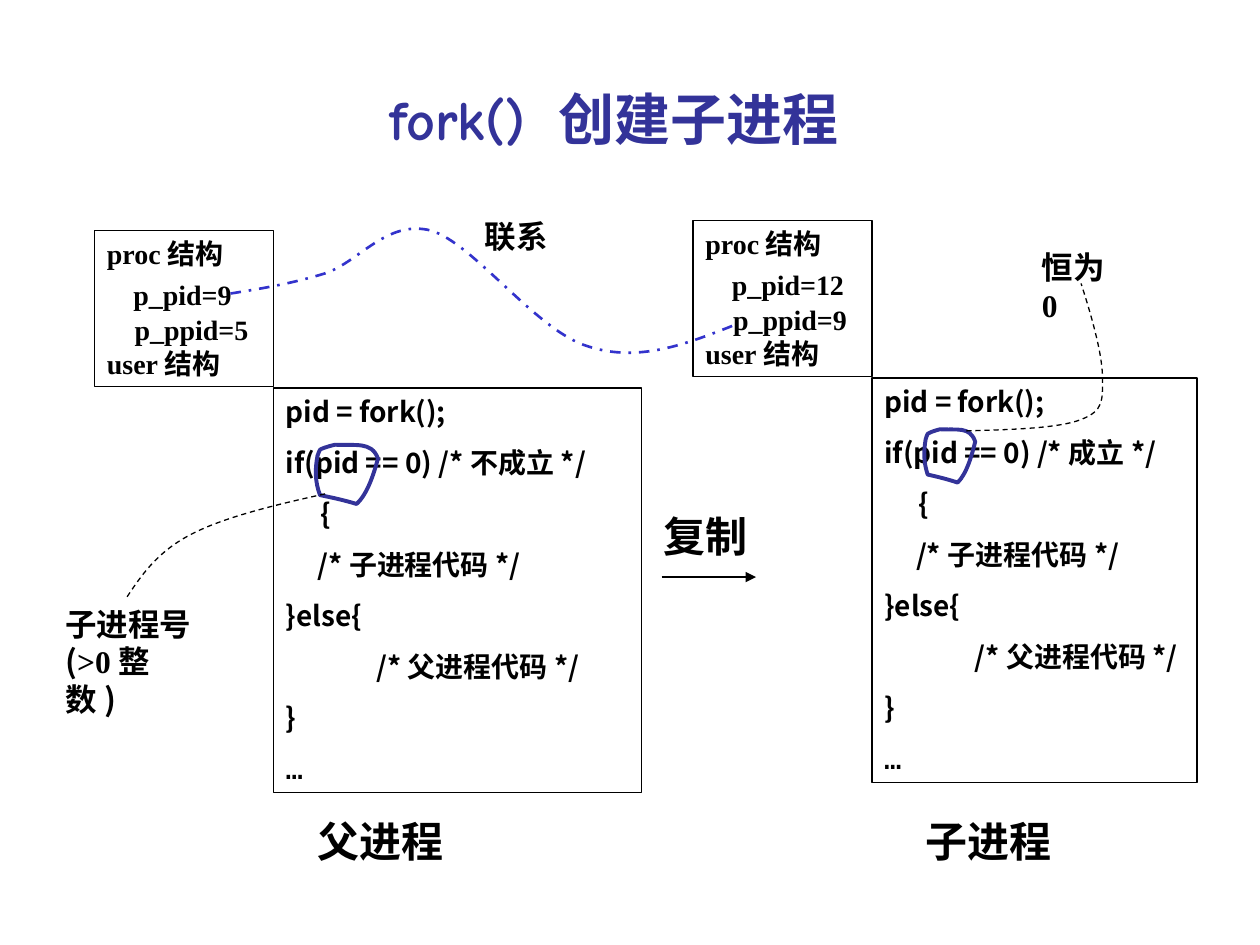
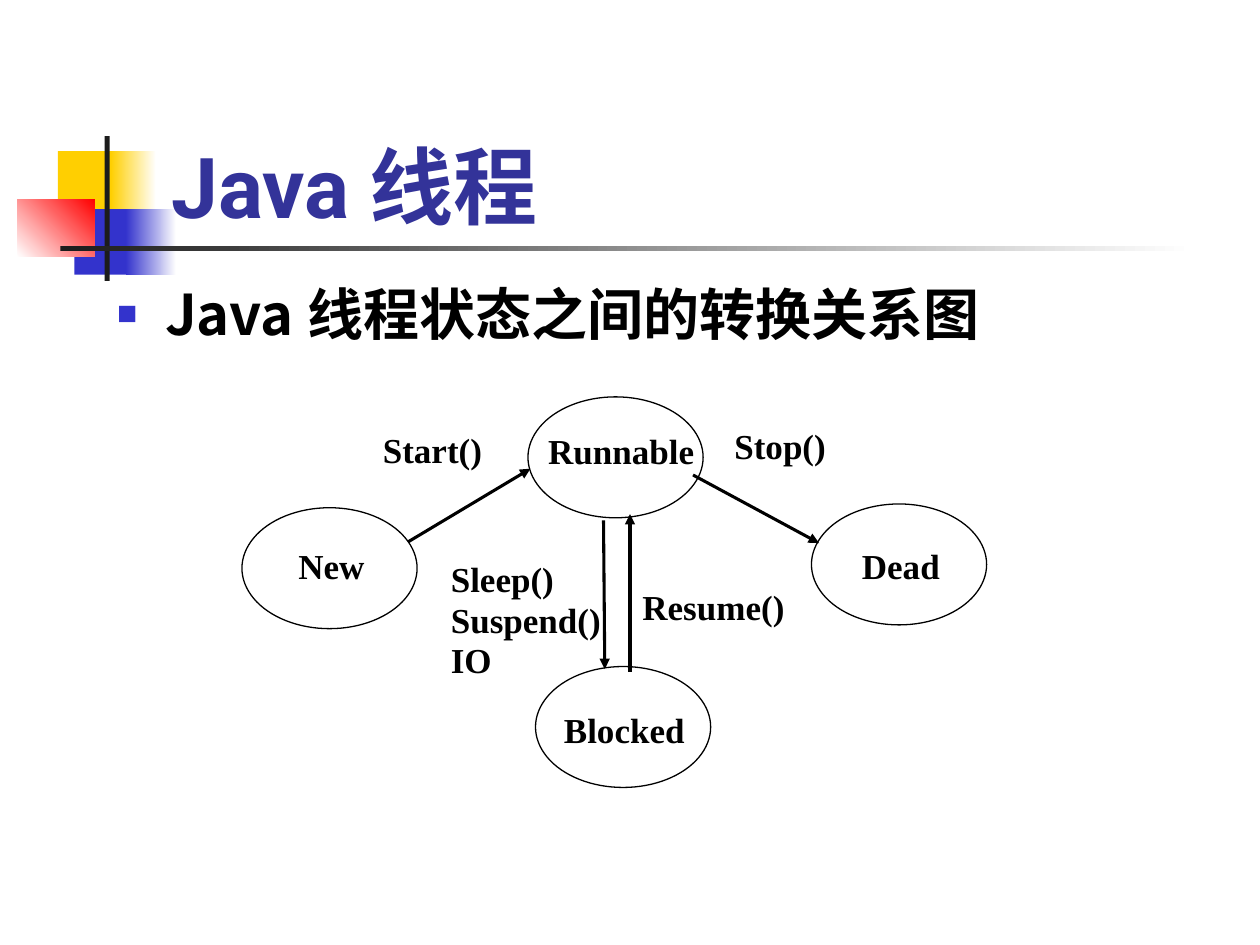
from lxml.etree import SubElement
from pptx import Presentation
from pptx.dml.color import RGBColor
from pptx.enum.dml import MSO_LINE
from pptx.enum.shapes import MSO_CONNECTOR, MSO_SHAPE
from pptx.enum.text import MSO_ANCHOR, MSO_AUTO_SIZE, PP_ALIGN
from pptx.oxml.ns import qn
from pptx.util import Inches, Pt

# Shared look
BLACK = RGBColor(0x00, 0x00, 0x00)
WHITE = RGBColor(0xFF, 0xFF, 0xFF)
INK = RGBColor(0x1C, 0x1C, 0x1C)
INDIGO = RGBColor(0x33, 0x33, 0x99)
BLUE = RGBColor(0x33, 0x33, 0xCC)
YELLOW = RGBColor(0xFF, 0xCF, 0x01)
RED = RGBColor(0xFF, 0x00, 0x00)
SERIF, CJK, MONO = "Times New Roman", "Noto Sans CJK SC", "Courier New"
COMIC, SANS = "Comic Neue", "Roboto"
INSETS = (0.1, 0.05, 0.1, 0.05)
TIGHT = (0.02, 0.01, 0.02, 0.01)
LEADING = 1.2

# Slide 1 content: the two processes, their labels and the links
FORK_TITLE = [("fork() ", COMIC), ("创建子进程", SERIF)]
PROCESSES = [
    dict(left=0.75, top=1.83, pid=9, ppid=5, test="不成立", code_w=2.92,
         name="父进程", name_x=2.42, ring=(2.5, 3.5, 0.5, 0.5)),
    dict(left=5.5, top=1.75, pid=12, ppid=9, test="成立", code_w=2.58,
         name="子进程", name_x=7.25, ring=(7.33, 3.38, 0.41, 0.45)),
]
PROC_W, PROC_H, CODE_DROP, CODE_H = 1.42, 1.24, 1.25, 3.21
PROC_INDENTS = (0, 0.21, 0.22, 0)
CODE = ["pid = fork();", "if(pid == 0) /*{test}*/", "　{{", "     /*子进程代码*/",
        "}}else{{", "　　　/*父进程代码*/", "}}"]
FORK_NOTES = [
    ([("联系", SERIF)], (3.75, 1.67, 1.08, 0.4)),
    ([("子进程号", SERIF), ("(", CJK), (">0整数", SERIF), (")", CJK)],
     (0.42, 4.75, 1.25, 1)),
    ([("恒为0", SERIF)], (8.17, 1.92, 0.83, 0.7)),
]
COPY_LABEL, COPY_BOX = "复制", (5.17, 4, 0.92, 0.5)
COPY_ARROW = ((5.25, 4.58), (6, 4.58))

# Curves: a start, then two control points and an end for each segment
PID_RING = [(0.66, 1), (0.46, 0.94), (0.28, 0.9), (0.08, 0.86),
            (0, 0.64), (0, 0.46), (0.04, 0.24),
            (0.06, 0.2), (0.06, 0.16), (0.08, 0.14),
            (0.14, 0.1), (0.32, 0.06), (0.32, 0.06),
            (0.64, 0.08), (0.9, 0), (1, 0.28),
            (0.94, 0.5), (0.84, 0.84), (0.66, 1)]
PID_LINK = [(1.83, 2.33), (2.08, 2.29), (2.32, 2.25), (2.58, 2.17),
            (2.85, 2.08), (3.07, 1.74), (3.42, 1.83),
            (3.76, 1.93), (4.26, 2.63), (4.67, 2.75),
            (5.07, 2.88), (5.45, 2.73), (5.83, 2.58)]
NOTE_LINKS = [
    [(2.58, 3.92), (2.17, 4.01), (1.76, 4.11), (1.5, 4.25),
     (1.24, 4.39), (1.12, 4.57), (1, 4.75)],
    [(7.67, 3.42), (8.03, 3.41), (8.4, 3.4), (8.58, 3.33),
     (8.76, 3.26), (8.75, 3.18), (8.75, 3),
     (8.75, 2.82), (8.67, 2.53), (8.58, 2.25)],
]

# Slide 2 content: heading, emblem, states and transitions
THREAD_TITLE = "Java线程"
THREAD_POINT = "Java线程状态之间的转换关系图"
EMBLEM = [  # box, colours, angle
    ((0.46, 1.2, 0.48, 0.52), (YELLOW,), 0),
    ((0.88, 1.2, 0.36, 0.52), (YELLOW, WHITE), 0),
    ((0.59, 1.66, 0.46, 0.52), (BLUE,), 0),
    ((1, 1.66, 0.4, 0.52), (BLUE, WHITE), 0),
    ((0.14, 1.58, 0.61, 0.46), (WHITE, RED), 45),
    ((0.83, 1.08, 0.04, 1.15), (INK,), 0),
    ((0.48, 1.95, 9, 0.04), (INK, WHITE), 0),
]
OVAL_W, OVAL_H = 1.39, 0.96
STATES = [  # name, oval corner, label box, label alignment
    ("Runnable", (4.19, 3.15), (4.33, 3.4, 1.25, 0.43), PP_ALIGN.JUSTIFY),
    ("Blocked", (4.25, 5.29), (4.42, 5.61, 1.07, 0.48), PP_ALIGN.CENTER),
    ("Dead", (6.44, 4), (6.71, 4.31, 0.88, 0.61), PP_ALIGN.CENTER),
    ("New", (1.92, 4.03), (2.19, 4.31, 0.88, 0.61), PP_ALIGN.CENTER),
]
CALLS = [  # lines, box, line spacing
    (["Sleep()", "Suspend()", "IO"], (3.48, 4.4, 1.43, 1.16), 0.96),
    (["Start()"], (2.94, 3.35, 1, 0.48), 1.0),
    (["Stop()"], (5.73, 3.32, 1, 0.51), 1.0),
    (["Resume()"], (5, 4.62, 1.38, 0.71), 0.96),
]
TRANSITIONS = [
    ((3.24, 4.3), (4.21, 3.72)), ((5.5, 3.77), (6.5, 4.31)),
    ((4.79, 4.13), (4.8, 5.31)), ((5, 5.33), (5, 4.08)),
]


def inches(values):
    return [Inches(v) for v in values]


def write(sp, paras, size, color=BLACK, font=SERIF, align=PP_ALIGN.LEFT,
          gap=0, spacing=None, insets=INSETS, anchor=MSO_ANCHOR.TOP):
    """Fill a shape; a paragraph is a string or a list of (text, font)."""
    tf = sp.text_frame
    frame = dict(word_wrap=True, auto_size=MSO_AUTO_SIZE.NONE,
                 vertical_anchor=anchor)
    sides = ("margin_left", "margin_top", "margin_right", "margin_bottom")
    frame.update(zip(sides, inches(insets)))
    for key, value in frame.items():
        setattr(tf, key, value)
    for i, runs in enumerate(paras):
        p = tf.paragraphs[0] if i == 0 else tf.add_paragraph()
        layout = dict(alignment=align, space_before=Pt(gap if i else 0),
                      line_spacing=spacing or Pt(size * LEADING))
        for key, value in layout.items():
            setattr(p, key, value)
        for text, face in [(runs, font)] if isinstance(runs, str) else runs:
            r = p.add_run()
            r.text = text
            for key, value in dict(name=face, size=Pt(size), bold=True).items():
                setattr(r.font, key, value)
            r.font.color.rgb = color
            rPr = r._r.get_or_add_rPr()
            rPr.set("kern", "0")
            SubElement(rPr, qn("a:ea"), typeface=CJK)
    return tf


def label(slide, box, paras, size, **fmt):
    return write(slide.shapes.add_textbox(*inches(box)), paras, size, **fmt)


def place(sp, box):
    for key, value in zip(("left", "top", "width", "height"), inches(box)):
        setattr(sp, key, value)
    return sp


def shape(slide, kind, box, fill=None, outline=True):
    s = slide.shapes.add_shape(kind, *inches(box))
    s.shadow.inherit = False
    if fill is None:
        s.fill.background()
    else:
        s.fill.solid()
        s.fill.fore_color.rgb = fill
    if outline:
        s.line.color.rgb, s.line.width = BLACK, Pt(0.75)
    else:
        s.line.fill.background()
    return s


def arrow(slide, start, end, width):
    c = slide.shapes.add_connector(MSO_CONNECTOR.STRAIGHT, *inches(start + end))
    c.line.color.rgb, c.line.width = BLACK, Pt(width)
    SubElement(c.line._get_or_add_ln(), qn("a:tailEnd"), type="triangle")
    SubElement(c._element.spPr, qn("a:effectLst"))


def curve(slide, pts, color, width, dash=None, close=False):
    """Build a freeform, then join each three points into a Bezier segment."""
    fb = slide.shapes.build_freeform(*inches(pts[0]))
    fb.add_line_segments([inches(pt) for pt in pts[1:]], close=close)
    s = fb.convert_to_shape()
    strokes = list(s._element.iter(qn("a:lnTo")))
    for i in range(0, len(strokes), 3):
        bezier = strokes[i].makeelement(qn("a:cubicBezTo"))
        strokes[i].addprevious(bezier)
        for stroke in strokes[i:i + 3]:
            bezier.append(stroke[0])
            stroke.getparent().remove(stroke)
    s.shadow.inherit = False
    s.fill.background()
    s.line.color.rgb, s.line.width = color, Pt(width)
    if dash:
        s.line.dash_style = dash


def draw_process(slide, proc):
    # Process table entry
    x, y = proc["left"], proc["top"]
    s = shape(slide, MSO_SHAPE.RECTANGLE, (x, y, PROC_W, PROC_H))
    rows = ["proc结构", f"p_pid={proc['pid']}", f"p_ppid={proc['ppid']}", "user结构"]
    tf = write(s, rows, 16)
    for p, indent in zip(tf.paragraphs, PROC_INDENTS):
        p._p.get_or_add_pPr().set("marL", str(Inches(indent)))
    tf.paragraphs[1].space_before = Pt(4)
    tf.paragraphs[1].space_after = Pt(1)
    # Program text, hung on the corner of the entry
    s = shape(slide, MSO_SHAPE.RECTANGLE,
              (x + PROC_W, y + CODE_DROP, proc["code_w"], CODE_H))
    lines = [line.format(test=proc["test"]) for line in CODE]
    write(s, lines + [[("…", MONO)]], 16, font=CJK, gap=10)
    # Ring round pid, and the process name
    left, top, w, h = proc["ring"]
    curve(slide, [(left + u * w, top + v * h) for u, v in PID_RING],
          INDIGO, 2.25, close=True)
    label(slide, (proc["name_x"], 6.42, 1.25, 0.5), [proc["name"]], 24)


def fork_slide(prs):
    slide = prs.slides.add_slide(prs.slide_layouts[5])
    write(place(slide.shapes.title, (0.75, 0.62, 8.25, 0.64)), [FORK_TITLE], 32,
          color=INDIGO, align=PP_ALIGN.CENTER)
    for proc in PROCESSES:
        draw_process(slide, proc)
    label(slide, COPY_BOX, [COPY_LABEL], 24)
    arrow(slide, *COPY_ARROW, 1)
    curve(slide, PID_LINK, BLUE, 1.5, MSO_LINE.DASH_DOT)
    for runs, box in FORK_NOTES:
        label(slide, box, [runs], 18)
    for pts in NOTE_LINKS:
        curve(slide, pts, BLACK, 0.75, MSO_LINE.DASH)


def draw_emblem(slide):
    for box, colors, angle in EMBLEM:
        s = shape(slide, MSO_SHAPE.RECTANGLE, box, colors[0], outline=False)
        if len(colors) > 1:
            s.fill.gradient()
            s.fill.gradient_angle = angle
            for stop, color in zip(s.fill.gradient_stops, colors):
                stop.color.rgb = color


def thread_slide(prs):
    slide = prs.slides.add_slide(prs.slide_layouts[1])
    draw_emblem(slide)
    # Title and bullet, in front of the emblem
    title, body = slide.shapes.title, slide.placeholders[1]
    for sp in (title, body):
        slide.shapes._spTree.append(sp._element)
    write(place(title, (1.26, 0.67, 8.52, 1.25)), [THREAD_TITLE], 48, color=INDIGO,
          font=SANS, anchor=MSO_ANCHOR.BOTTOM)
    tf = write(place(body, (0.83, 2.17, 8.5, 4.5)), [THREAD_POINT], 32, font=CJK)
    pPr = tf.paragraphs[0]._p.get_or_add_pPr()
    pPr.set("marL", str(Inches(0.38)))
    pPr.set("indent", str(Inches(-0.38)))
    SubElement(SubElement(pPr, qn("a:buClr")), qn("a:srgbClr"), val=str(BLUE))
    SubElement(pPr, qn("a:buSzPct"), val="60000")
    SubElement(pPr, qn("a:buChar"), char="■")
    # State diagram
    for lines, box, spacing in CALLS:
        label(slide, box, lines, 20, align=PP_ALIGN.JUSTIFY, spacing=spacing)
    for name, corner, box, align in STATES:
        shape(slide, MSO_SHAPE.OVAL, corner + (OVAL_W, OVAL_H), WHITE)
        label(slide, box, [name], 20, align=align, spacing=1.0, insets=TIGHT)
    for start, end in TRANSITIONS:
        arrow(slide, start, end, 1.75)


def main():
    prs = Presentation()
    prs.slide_width, prs.slide_height = inches((10, 7.5))
    fork_slide(prs)
    thread_slide(prs)
    prs.save("out.pptx")


if __name__ == "__main__":
    main()
